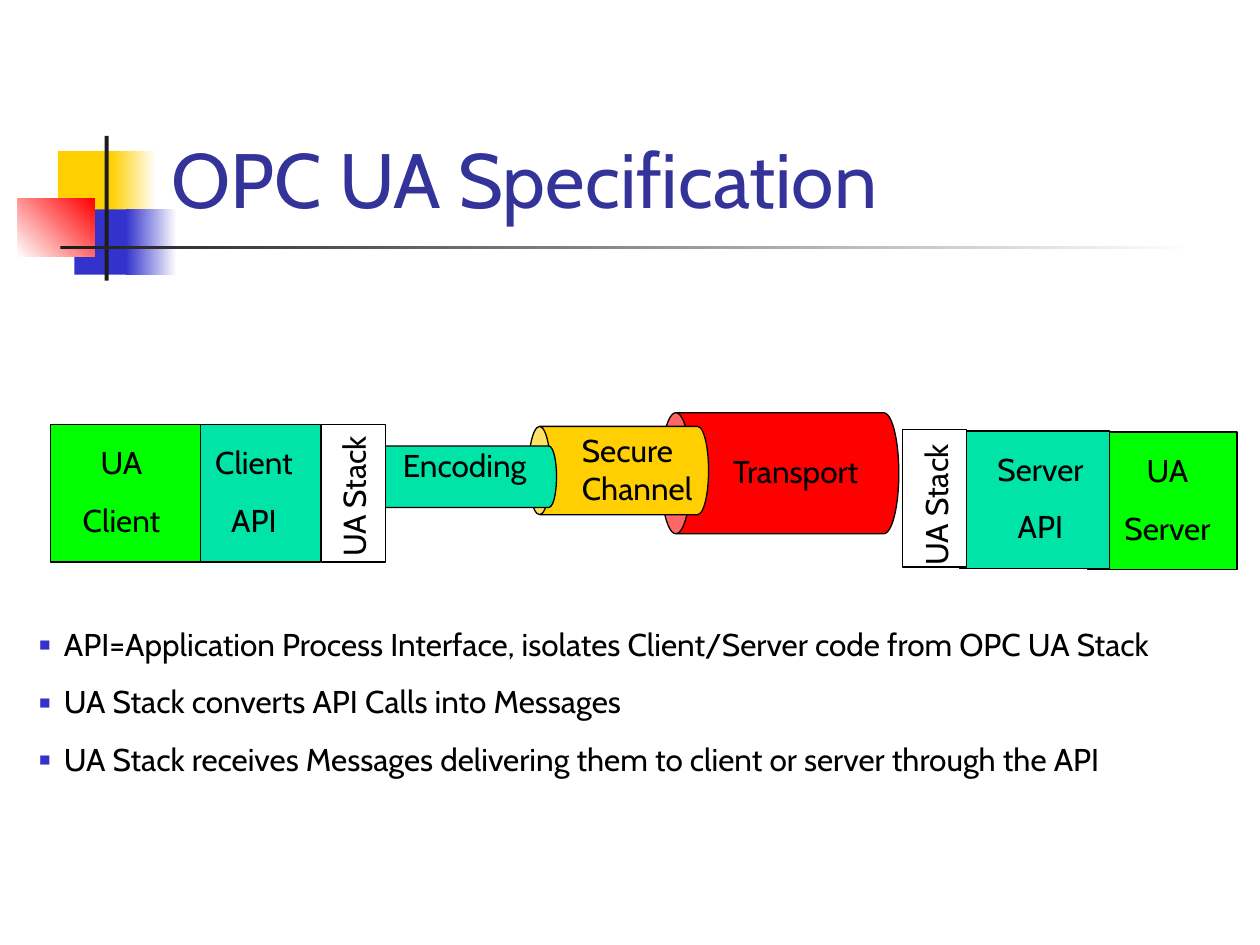
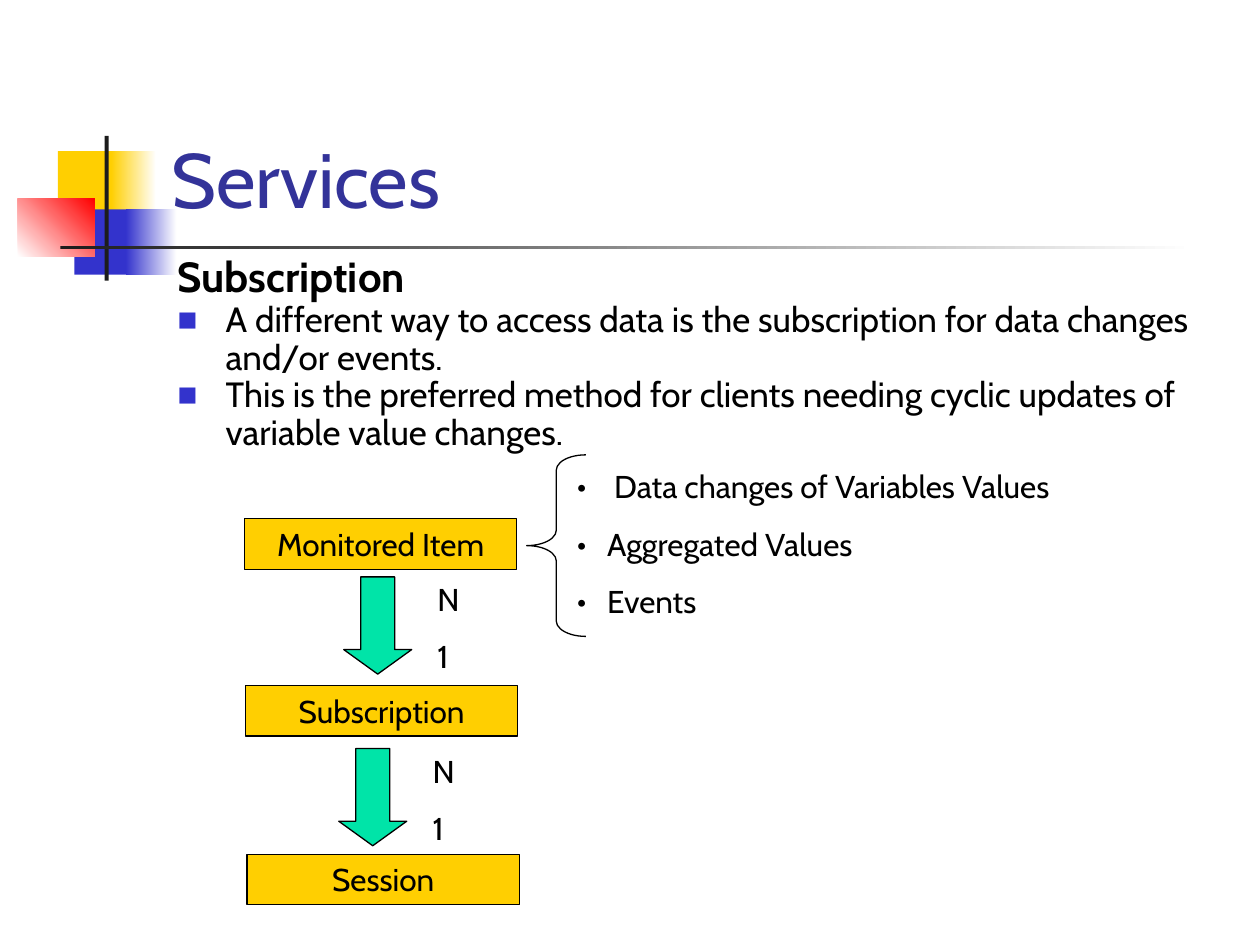
from dataclasses import dataclass

from lxml.etree import SubElement
from pptx import Presentation
from pptx.dml.color import RGBColor
from pptx.enum.shapes import MSO_SHAPE
from pptx.enum.text import MSO_ANCHOR, PP_ALIGN
from pptx.oxml.ns import qn
from pptx.util import Cm, Pt


@dataclass(frozen=True)
class Theme:
    font: str = "Cabin"
    title_size: float = 44
    heading_size: float = 24
    body_size: float = 20
    label_size: float = 18
    paragraph_gap: float = 11.2
    outline: float = 0.75
    title: str = "333399"
    text: str = "000000"
    white: str = "FFFFFF"
    yellow: str = "FFCF01"
    blue: str = "3333CC"
    red: str = "FF0000"
    rule: str = "1C1C1C"
    green: str = "00FF00"
    teal: str = "00E4A8"


THEME = Theme()
LEFT, CENTER = PP_ALIGN.LEFT, PP_ALIGN.CENTER

# Shared ornament: place, start colour, end colour (None = solid), angle
ORNAMENT = [
    ((1.17, 3.05, 1.22, 1.32), THEME.yellow, None, 0),
    ((2.24, 3.05, 0.91, 1.32), THEME.yellow, THEME.white, 0),
    ((1.5, 4.22, 1.17, 1.32), THEME.blue, None, 0),
    ((2.54, 4.22, 1.02, 1.32), THEME.blue, THEME.white, 0),
    ((0.36, 4.01, 1.55, 1.17), THEME.white, THEME.red, 45),
    ((2.11, 2.74, 0.08, 2.92), THEME.rule, None, 0),
    ((1.22, 4.95, 22.86, 0.08), THEME.rule, THEME.white, 0),
]
TITLE_PLACE = (3.2, 0.58, 21.64, 4.06)

# Slide 1: the layers between client and server, from back to front
# Blocks and stacks: place, colour, lines, label place, label rotation
BLOCK, BLOCK_LABEL = (3.02, 2.77), (2.57, 2.18)
CLIENT_LABEL = (2.26, 2.18)
STACK, STACK_LABEL = (1.3, 2.77), (3.33, 1.02)
SERVER_SIDE = [
    ((21.92, 8.71, *BLOCK), THEME.green, ["UA", "Server"], (22.25, 8.97, *BLOCK_LABEL), 0),
    ((19.35, 8.69, *BLOCK), THEME.teal, ["Server", "API"], (19.69, 8.94, *BLOCK_LABEL), 0),
    ((18.19, 8.66, *STACK), THEME.white, ["UA Stack"], (17.2, 9.47, *STACK_LABEL), 270),
]
CLIENT_SIDE = [
    ((6.48, 8.56, *STACK), THEME.white, ["UA Stack"], (5.46, 9.3, *STACK_LABEL), 270),
    ((3.45, 8.56, *BLOCK), THEME.teal, ["Client", "API"], (3.99, 8.81, *CLIENT_LABEL), 0),
    ((1.02, 8.56, *BLOCK), THEME.green, ["UA", "Client"], (1.32, 8.81, *CLIENT_LABEL), 0),
]
# Pipes: place before turning, colour, lines, label place, paragraph gap
PIPES = [
    ((14.5, 7.14, 2.44, 4.8), THEME.red, ["Transport"],
     (14.53, 8.99, 4.14, 1.02), THEME.paragraph_gap),
    ((11.58, 7.67, 1.78, 3.63), THEME.yellow, ["Secure", "Channel"],
     (11.48, 8.56, 3.53, 1.78), 0),
    ((8.2, 7.21, 1.24, 4.8), THEME.teal, ["Encoding"],
     (7.87, 8.86, 3.38, 1.02), THEME.paragraph_gap),
]
NOTES = [
    "API=Application Process Interface, isolates Client/Server code from OPC UA Stack",
    "UA Stack converts API Calls into Messages",
    "UA Stack receives Messages delivering them to client or server through the API",
]

# Slide 2: subscription chain
HEADING = "Subscription"
POINTS = [
    "A different way to access data is the subscription for data changes and/or events.",
    "This is the preferred method for clients needing cyclic updates of variable value changes.",
]
ENTITIES = [
    ("Monitored Item", 4.93, 10.46),
    ("Subscription", 4.95, 13.82),
    ("Session", 4.98, 17.22),
]
ARROWS = [(6.93, 11.63), (6.83, 15.09)]
CARDINALITY = ["N", "1"]
TRIGGERS = [" Data changes of Variables Values", "Aggregated Values", "Events"]


def color(value):
    return RGBColor.from_string(value)


def add_shape(page, kind, place, fill=None, outlined=True, rotation=0):
    shape = page.shapes.add_shape(kind, *map(Cm, place))
    shape.shadow.inherit = False
    shape.rotation = rotation
    if fill:
        shape.fill.solid()
        shape.fill.fore_color.rgb = color(fill)
    else:
        shape.fill.background()
    if outlined:
        shape.line.color.rgb = color(THEME.text)
        shape.line.width = Pt(THEME.outline)
    else:
        shape.line.fill.background()
    return shape


def write(shape, lines, size=THEME.label_size, ink=THEME.text, align=LEFT,
          gap=THEME.paragraph_gap, anchor=MSO_ANCHOR.TOP):
    frame = shape.text_frame
    frame.word_wrap = True
    frame.vertical_anchor = anchor
    frame.text = "\n".join(lines)
    for para in frame.paragraphs:
        para.alignment = align
        para.space_before = Pt(gap)
        para.font.name = THEME.font
        para.font.size = Pt(size)
        para.font.color.rgb = color(ink)
    return frame.paragraphs


def add_text(page, place, lines, rotation=0, **style):
    box = page.shapes.add_textbox(*map(Cm, place))
    box.rotation = rotation
    return write(box, lines, **style)


def hang(para, indent):
    properties = para._p.get_or_add_pPr()
    properties.set("marL", str(Cm(indent)))
    properties.set("indent", str(-Cm(indent)))
    return properties


def add_bullet(para, symbol, ink, indent, percent=100):
    properties = hang(para, indent)
    bullet_color = SubElement(properties, qn("a:buClr"))
    SubElement(bullet_color, qn("a:srgbClr"), val=ink)
    SubElement(properties, qn("a:buSzPct"), val=str(percent * 1000))
    SubElement(properties, qn("a:buFont"), typeface=THEME.font)
    SubElement(properties, qn("a:buChar"), char=symbol)


def add_page(deck, title):
    page = deck.slides.add_slide(deck.slide_layouts[6])
    for place, start, end, angle in ORNAMENT:
        shape = add_shape(page, MSO_SHAPE.RECTANGLE, place, start, outlined=False)
        if end:
            shape.fill.gradient()
            shape.fill.gradient_angle = angle
            for stop, value, position in zip(shape.fill.gradient_stops, (start, end), (0, 1)):
                stop.color.rgb = color(value)
                stop.position = position
    add_text(page, TITLE_PLACE, [title], size=THEME.title_size, ink=THEME.title,
             gap=0, anchor=MSO_ANCHOR.BOTTOM)
    return page


def add_blocks(page, blocks):
    for place, fill, lines, label_place, rotation in blocks:
        add_shape(page, MSO_SHAPE.RECTANGLE, place, fill)
        add_text(page, label_place, lines, rotation, align=LEFT if rotation else CENTER)


def build_specification(deck):
    page = add_page(deck, "OPC UA Specification")

    # Communication layers
    add_blocks(page, SERVER_SIDE)
    for place, fill, lines, label_place, gap in PIPES:
        pipe = add_shape(page, MSO_SHAPE.CAN, place, fill, rotation=270)
        pipe.adjustments[0] = 0.25
        add_text(page, label_place, lines, gap=gap)
    add_blocks(page, CLIENT_SIDE)

    # Explanations
    for para in add_text(page, (0.53, 12.47, 23.47, 4.88), NOTES):
        add_bullet(para, "▪", THEME.blue, 0.51)


def build_services(deck):
    page = add_page(deck, "Services")

    # Heading and points
    heading, *points = add_text(page, (3.33, 5.05, 22.07, 4.5), [HEADING, *POINTS],
                                size=THEME.body_size, gap=0)
    heading.font.size = Pt(THEME.heading_size)
    heading.font.bold = True
    hang(heading, 0.97)
    for para in (heading, *points):
        para.line_spacing = 0.9
    for para in points:
        add_bullet(para, "■", THEME.blue, 0.97, 60)

    # Chain of entities
    for name, left, top in ENTITIES:
        entity = add_shape(page, MSO_SHAPE.RECTANGLE, (left, top, 5.49, 1.02), THEME.yellow)
        write(entity, [name], align=CENTER)
    for left, top in ARROWS:
        arrow = add_shape(page, MSO_SHAPE.DOWN_ARROW, (left, top, 1.37, 1.96), THEME.teal)
        arrow.adjustments[1] = 0.36
        add_text(page, (left + 1.64, top - 0.06, 1.09, 2.18), CARDINALITY)

    # What a monitored item reports
    for para in add_text(page, (11.38, 9.3, 12.55, 3.35), TRIGGERS):
        add_bullet(para, "•", THEME.text, 0.61)
    brace = add_shape(page, MSO_SHAPE.LEFT_BRACE, (10.62, 9.17, 1.19, 3.66))
    brace.adjustments[0] = 0.26


def main():
    deck = Presentation()
    deck.slide_width, deck.slide_height = Cm(25.4), Cm(19.05)
    build_specification(deck)
    build_services(deck)
    deck.save("out.pptx")


if __name__ == "__main__":
    main()
